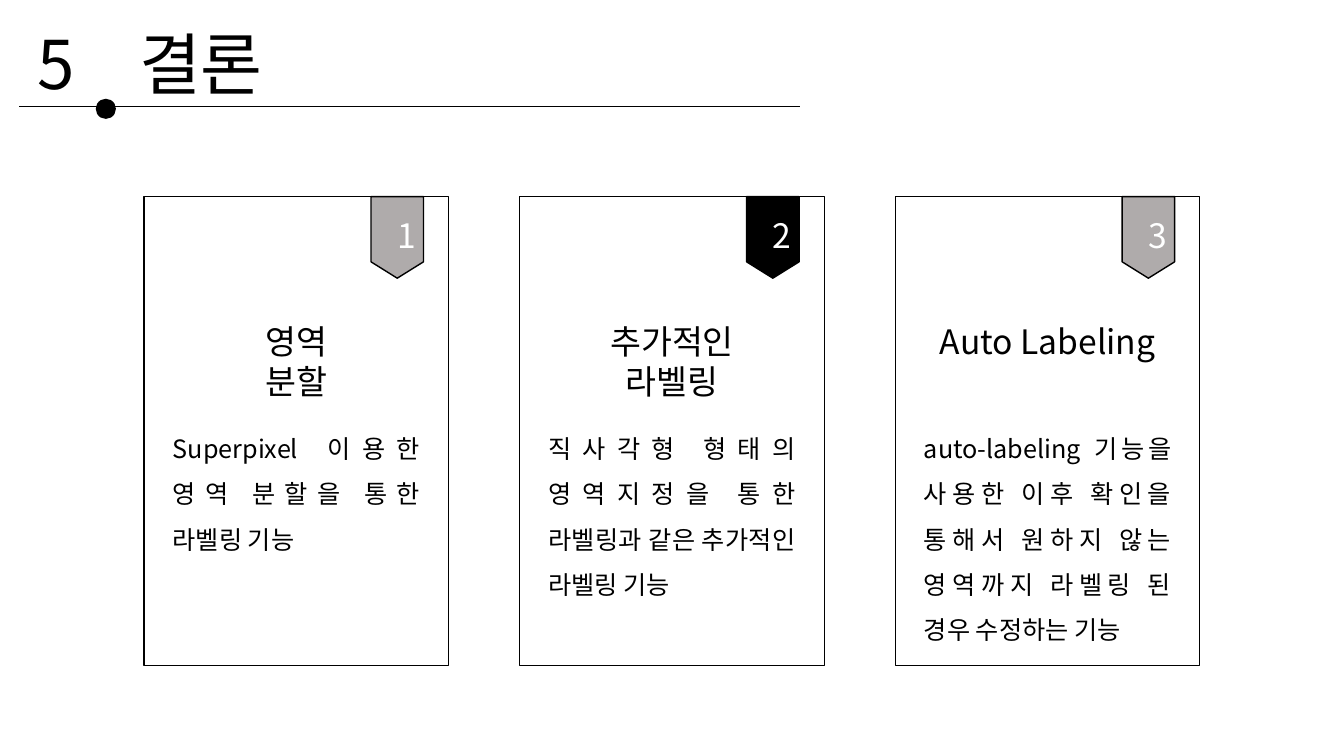
from lxml.etree import SubElement
from pptx import Presentation
from pptx.dml.color import RGBColor
from pptx.enum.shapes import MSO_CONNECTOR as Connector, MSO_SHAPE as Shape
from pptx.enum.text import MSO_ANCHOR as Anchor, MSO_AUTO_SIZE as AutoSize, PP_ALIGN as Align
from pptx.oxml.ns import qn
from pptx.util import Inches, Pt

BLACK = RGBColor(0x00, 0x00, 0x00)
WHITE = RGBColor(0xFF, 0xFF, 0xFF)
GRAY = RGBColor(0xAF, 0xAB, 0xAB)
FONT = "Noto Sans CJK KR"

deck = Presentation()
deck.slide_width, deck.slide_height = Inches(13.33), Inches(7.5)
slide = deck.slides.add_slide(deck.slide_layouts[5])
shapes = slide.shapes


def grid(*cells):
    return [Inches(cell / 10) for cell in cells]


def write(holder, text, size, color=BLACK, align=Align.LEFT, spacing=1.0, wrap=True):
    frame = holder.text_frame
    frame.text = text
    frame.word_wrap = wrap
    frame.auto_size = AutoSize.NONE
    frame.vertical_anchor = Anchor.TOP
    for paragraph in frame.paragraphs:
        paragraph.alignment = align
        paragraph.line_spacing = spacing
        font = paragraph.font
        font.name, font.size = FONT, Pt(size)
        font.color.rgb = color
        east_asian = SubElement(font._element, qn("a:ea"))
        east_asian.set("typeface", FONT)


title = shapes.title
title.left, title.top, title.width, title.height = grid(12.8, 1.7, 14.3, 9.1)
write(title, "결론", 48, wrap=False)
write(shapes.add_textbox(*grid(2.7, 1.7, 6.2, 9.1)), "5", 48, wrap=False)

underline = shapes.add_connector(Connector.STRAIGHT, *grid(1.9, 10.6, 79.3, 10.6))
underline.line.color.rgb = BLACK
underline.line.width = Pt(0.5)
SubElement(underline._element.spPr, qn("a:effectLst"))

marker = shapes.add_shape(Shape.OVAL, *grid(9.5, 9.8, 2, 2))
marker.shadow.inherit = False
marker.fill.solid()
marker.fill.fore_color.rgb = BLACK
marker.line.fill.background()

conclusions = [
    ("영역\v분할", "Superpixel 이용한 영역 분할을 통한 라벨링 기능", GRAY),
    ("추가적인\v라벨링", "직사각형 형태의 영역지정을 통한 라벨링과 같은 추가적인 라벨링 기능", BLACK),
    ("Auto Labeling", "auto-labeling 기능을 사용한 이후 확인을 통해서 원하지 않는 영역까지 라벨링 된 경우 수정하는 기능", GRAY),
]
FIRST_COLUMN, COLUMN_STEP, CARD_WIDTH, CARD_TOP = 14.3, 37.25, 30.2, 19.5

for index, (heading, description, ribbon_color) in enumerate(conclusions):
    left = FIRST_COLUMN + index * COLUMN_STEP
    outlined = [
        (Shape.RECTANGLE, (left, CARD_TOP, CARD_WIDTH, 46.5), WHITE),
        (Shape.FLOWCHART_OFFPAGE_CONNECTOR, (left + 22.5, CARD_TOP, 5.2, 8.1), ribbon_color),
    ]
    for preset, cells, color in outlined:
        part = shapes.add_shape(preset, *grid(*cells))
        part.shadow.inherit = False
        part.fill.solid()
        part.fill.fore_color.rgb = color
        part.line.color.rgb = BLACK
        part.line.width = Pt(1)

    number = shapes.add_textbox(*grid(left + 24.1, 20.8, 2.4, 5))
    write(number, str(index + 1), 24, WHITE, Align.CENTER)
    detail = shapes.add_textbox(*grid(left + 1.85, 41, 26.5, 23.3))
    write(detail, description, 18, align=Align.JUSTIFY, spacing=1.5)
    label = shapes.add_textbox(*grid(left + 3, 31.3, CARD_WIDTH - 6, 9.1))
    write(label, heading, 24, align=Align.CENTER, wrap=False)

deck.save("out.pptx")
